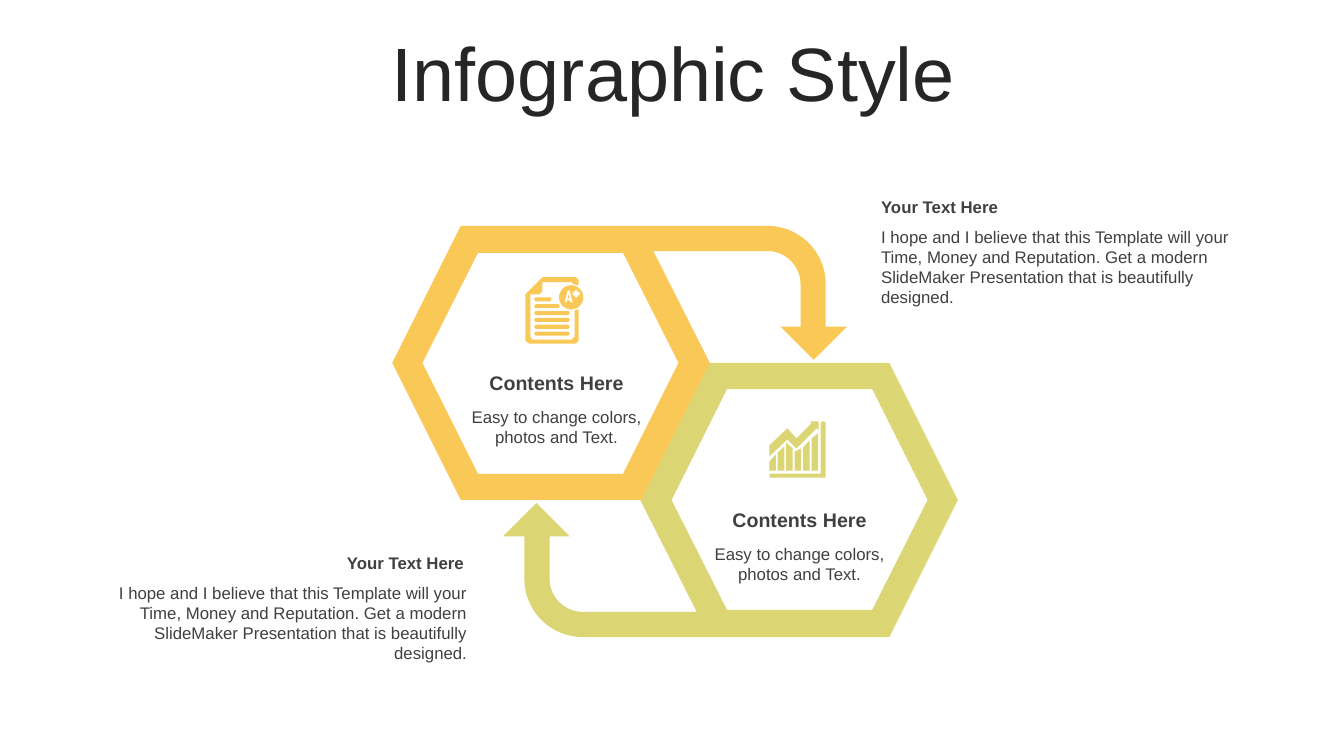
from math import cos, radians, sin

from pptx import Presentation
from pptx.dml.color import RGBColor
from pptx.enum.text import MSO_ANCHOR, PP_ALIGN
from pptx.util import Inches, Pt

YELLOW = RGBColor(0xF9, 0xC8, 0x56)
GREEN = RGBColor(0xDC, 0xD5, 0x74)
TITLE_GRAY = RGBColor(0x26, 0x26, 0x26)
TEXT_GRAY = RGBColor(0x40, 0x40, 0x40)
LEFT, CENTER, RIGHT = PP_ALIGN.LEFT, PP_ALIGN.CENTER, PP_ALIGN.RIGHT
TOP, MIDDLE = MSO_ANCHOR.TOP, MSO_ANCHOR.MIDDLE


def arc(center_x, center_y, radius, start, end, steps=16):
    angles = [radians(start + (end - start) * step / steps) for step in range(steps + 1)]
    return [(center_x + radius * cos(angle), center_y + radius * sin(angle)) for angle in angles]


def rounded_bar(left, top, width, height):
    radius = height / 2
    middle = top + radius
    return (arc(left + radius, middle, radius, 90, 270)
            + arc(left + width - radius, middle, radius, -90, 90))


class InfographicSlide:
    font_name = "Arial"

    def __init__(self, deck):
        self.page = deck.slides.add_slide(deck.slide_layouts[6])

    def text(self, words, left, top, width, height, size=12, bold=False,
             align=LEFT, anchor=TOP, color=TEXT_GRAY, line_spacing=None):
        box = self.page.shapes.add_textbox(
            Inches(left), Inches(top), Inches(width), Inches(height))
        frame = box.text_frame
        frame.word_wrap = True
        frame.vertical_anchor = anchor
        para = frame.paragraphs[0]
        para.alignment = align
        para.line_spacing = line_spacing
        span = para.add_run()
        span.text = words
        span.font.name = self.font_name
        span.font.size = Pt(size)
        span.font.bold = bold
        span.font.color.rgb = color

    def outline(self, contours, color, shift=(0, 0), rotation=0):
        builder = None
        for contour in contours:
            points = [(Inches(x), Inches(y)) for x, y in contour]
            if builder is None:
                builder = self.page.shapes.build_freeform(*points[0])
            else:
                builder.move_to(*points[0])
            builder.add_line_segments(points[1:], close=True)
        shape = builder.convert_to_shape(Inches(shift[0]), Inches(shift[1]))
        shape.shadow.inherit = False
        shape.fill.solid()
        shape.fill.fore_color.rgb = color
        shape.line.fill.background()
        shape.rotation = rotation

    def hexagon_arrow(self, color, shift=(0, 0), rotation=0):
        hole = [(4.74, 2.51), (4.19, 3.6), (4.74, 4.7), (6.18, 4.7), (6.73, 3.6), (6.18, 2.51)]
        ribbon = (
            [(4.57, 2.24)]
            + arc(7.61, 2.82, 0.58, -90, 0)
            + [(8.19, 3.24), (8.4, 3.24), (8.07, 3.57), (7.74, 3.24), (7.94, 3.24)]
            + arc(7.61, 2.82, 0.33, 0, -90)
            + [(6.48, 2.49), (7.04, 3.6), (6.36, 4.96), (4.57, 4.96), (3.89, 3.6)]
        )
        self.outline([ribbon, hole], color, shift, rotation)

    def chart_icon(self, color):
        bar_tops = [(4.58, 4.51), (4.49, 4.43), (4.39, 4.45),
                    (4.48, 4.45), (4.44, 4.37), (4.35, 4.3)]
        contours = []
        for index, (left_top, right_top) in enumerate(bar_tops):
            left = 7.63 + 0.084 * index
            right = left + 0.065
            contours.append([(left, left_top), (right, right_top), (right, 4.67), (left, 4.67)])
        contours.append([(8.12, 4.18), (8.12, 4.27), (8.1, 4.25), (7.9, 4.45), (7.81, 4.36),
                         (7.63, 4.53), (7.63, 4.42), (7.81, 4.25), (7.9, 4.35),
                         (8.05, 4.2), (8.03, 4.18)])
        contours.append(arc(8.165, 4.205, 0.025, 180, 360) + [(8.19, 4.74)]
                        + arc(7.65, 4.72, 0.02, 90, 270) + [(8.14, 4.7)])
        self.outline(contours, color)

    def report_icon(self, color):
        sheet = [(5.38, 2.75), (5.71, 2.75), (5.74, 2.78), (5.74, 2.83), (5.69, 2.82),
                 (5.67, 2.8), (5.38, 2.8), (5.38, 2.89), (5.35, 2.92), (5.26, 2.92),
                 (5.26, 3.34), (5.28, 3.37), (5.67, 3.37), (5.7, 3.34), (5.7, 3.08),
                 (5.74, 3.07), (5.74, 3.38), (5.71, 3.41), (5.25, 3.41), (5.21, 3.38),
                 (5.21, 2.92)]
        badge = arc(5.665, 2.95, 0.12, 0, 360, 40)
        letter = [(5.63, 2.88), (5.65, 2.88), (5.68, 3), (5.66, 3), (5.65, 2.98),
                  (5.62, 2.98), (5.62, 3), (5.6, 3)]
        letter_hole = [(5.64, 2.92), (5.65, 2.96), (5.63, 2.96)]
        plus = [(5.7, 2.88), (5.7, 2.9), (5.68, 2.9), (5.68, 2.93), (5.7, 2.93), (5.7, 2.95),
                (5.73, 2.95), (5.73, 2.93), (5.75, 2.93), (5.75, 2.9), (5.73, 2.9), (5.73, 2.88)]
        widths = [0.17, 0.25, 0.35, 0.35, 0.35, 0.35]
        text_lines = [rounded_bar(5.3, 2.95 + 0.068 * row, width, 0.04)
                      for row, width in enumerate(widths)]
        self.outline([sheet, badge, letter, letter_hole, plus] + text_lines, color)

    def description(self, left, top, width, align, heading_width):
        self.text("I hope and I believe that this Template will your Time, Money and Reputation. "
                  "Get a modern SlideMaker Presentation that is beautifully designed.",
                  left, top + 0.3, width, 0.91, align=align)
        self.text("Your Text Here", left, top, heading_width, 0.3, bold=True, align=align)

    def hexagon_label(self, left, top):
        self.text("Contents Here", left, top, 1.98, 0.33, size=14, bold=True, align=CENTER)
        self.text("Easy to change colors, photos and Text.",
                  left, top + 0.355, 1.98, 0.51, align=CENTER)


def main():
    deck = Presentation()
    deck.slide_width = Inches(13.33)
    deck.slide_height = Inches(7.5)
    slide = InfographicSlide(deck)
    slide.text("Infographic Style", 0.35, 0.37, 12.66, 0.79, size=54, align=CENTER,
               anchor=MIDDLE, color=TITLE_GRAY, line_spacing=0.9)
    slide.hexagon_arrow(GREEN, shift=(1.1, 1.36), rotation=180)
    slide.hexagon_arrow(YELLOW)
    slide.description(8.64, 1.9, 3.92, LEFT, 3.92)
    slide.description(0.74, 5.43, 3.99, RIGHT, 3.96)
    slide.hexagon_label(4.53, 3.63)
    slide.hexagon_label(6.94, 4.99)
    slide.chart_icon(GREEN)
    slide.report_icon(YELLOW)
    deck.save("out.pptx")


if __name__ == "__main__":
    main()
